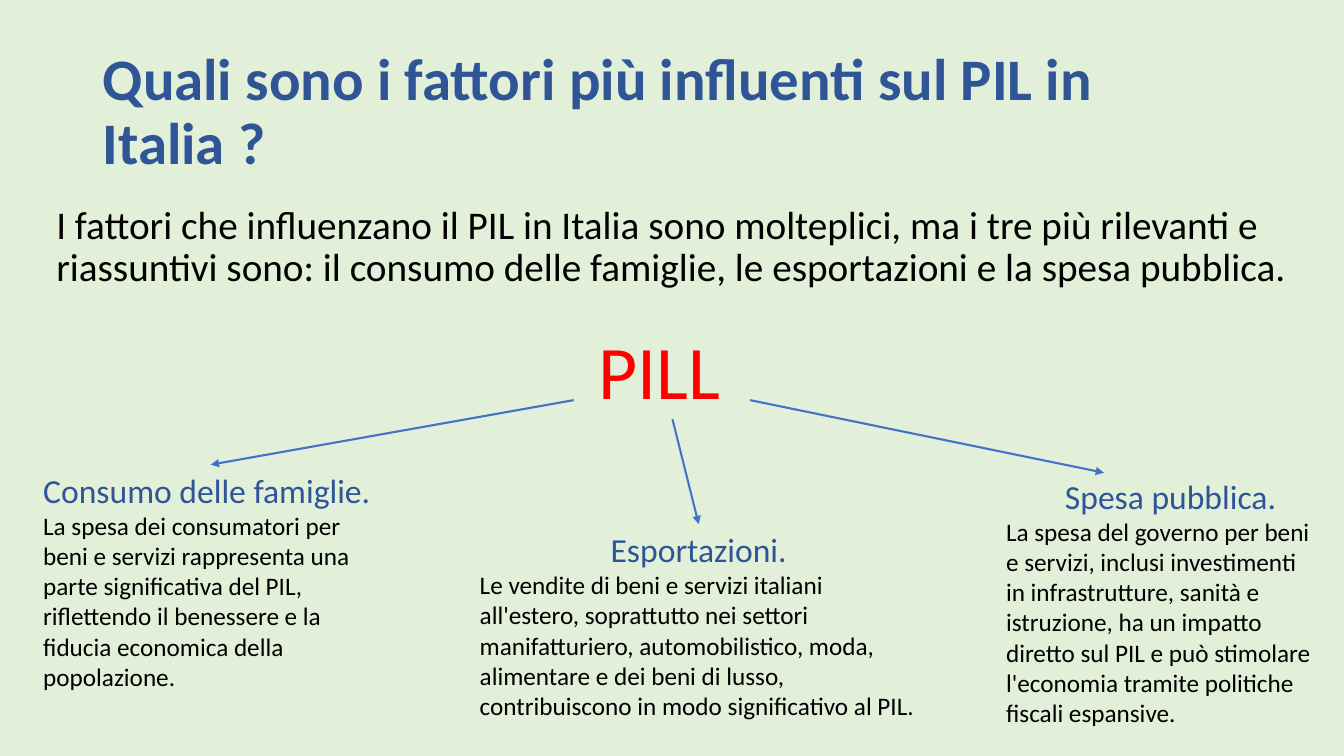
from lxml import etree
from pptx import Presentation
from pptx.dml.color import RGBColor
from pptx.enum.shapes import MSO_CONNECTOR
from pptx.enum.text import MSO_ANCHOR, PP_ALIGN
from pptx.oxml.ns import qn
from pptx.util import Inches, Pt

LEFT, CENTER = PP_ALIGN.LEFT, PP_ALIGN.CENTER
TOP, MIDDLE = MSO_ANCHOR.TOP, MSO_ANCHOR.MIDDLE
STRAIGHT = MSO_CONNECTOR.STRAIGHT

FONT = "Calibri"
COLORS = {"background": "E2F0D9", "heading": "2F5597", "text": "000000",
          "keyword": "FF0000", "arrow": "4472C4"}

TITLE = "Quali sono i fattori più influenti sul PIL in Italia ?"
INTRO = ("I fattori che influenzano il PIL in Italia sono molteplici, ma i tre più "
         "rilevanti e riassuntivi sono: il consumo delle famiglie, le esportazioni "
         "e la spesa pubblica.")
KEYWORD = "PILL"

# Each factor: box, heading, heading alignment, heading indent, explanation, arrow ends
FACTORS = [
    {"box": (0.33, 4.61, 3.52, 2.32), "heading": "Consumo delle famiglie.",
     "align": LEFT, "indent": 0,
     "text": "La spesa dei consumatori per beni e servizi rappresenta una parte "
             "significativa del PIL, riflettendo il benessere e la fiducia economica "
             "della popolazione.",
     "arrow": (5.69, 3.97, 2.09, 4.61)},
    {"box": (4.66, 5.2, 4.54, 2.32), "heading": "Esportazioni.",
     "align": CENTER, "indent": 0,
     "text": "Le vendite di beni e servizi italiani all'estero, soprattutto nei settori "
             "manifatturiero, automobilistico, moda, alimentare e dei beni di lusso, "
             "contribuiscono in modo significativo al PIL.",
     "arrow": (6.67, 4.16, 6.93, 5.2)},
    {"box": (9.88, 4.67, 3.31, 2.63), "heading": "Spesa pubblica.",
     "align": CENTER, "indent": 0.15,
     "text": "La spesa del governo per beni e servizi, inclusi investimenti in "
             "infrastrutture, sanità e istruzione, ha un impatto diretto sul PIL e può "
             "stimolare l'economia tramite politiche fiscali espansive.",
     "arrow": (7.44, 3.97, 10.95, 4.69)},
]


def add_text_frame(slide, box, anchor=TOP):
    frame = slide.shapes.add_textbox(*map(Inches, box)).text_frame
    frame.word_wrap = True
    frame.vertical_anchor = anchor
    return frame


def write(paragraph, text, size, color, bold=False, align=LEFT, line_spacing=1.0):
    paragraph.text = text
    paragraph.alignment = align
    paragraph.line_spacing = line_spacing
    paragraph.font.name = FONT
    paragraph.font.size = Pt(size)
    paragraph.font.bold = bold
    paragraph.font.color.rgb = RGBColor.from_string(COLORS[color])


def add_arrow(slide, ends):
    arrow = slide.shapes.add_connector(STRAIGHT, *map(Inches, ends))
    arrow.line.color.rgb = RGBColor.from_string(COLORS["arrow"])
    arrow.line.width = Pt(1.5)
    etree.SubElement(arrow.line._get_or_add_ln(), qn("a:tailEnd"), type="triangle")
    etree.SubElement(arrow._element.spPr, qn("a:effectLst"))


def main():
    presentation = Presentation()
    presentation.slide_width, presentation.slide_height = Inches(13.33), Inches(7.5)
    slide = presentation.slides.add_slide(presentation.slide_layouts[6])
    slide.background.fill.solid()
    slide.background.fill.fore_color.rgb = RGBColor.from_string(COLORS["background"])

    # Title, introduction and keyword
    title = add_text_frame(slide, (0.92, 0.4, 11.5, 1.45), MIDDLE)
    write(title.paragraphs[0], TITLE, 42, "heading", bold=True, line_spacing=0.9)
    intro = add_text_frame(slide, (0.46, 1.99, 12.42, 1.01)).paragraphs[0]
    write(intro, INTRO, 28, "text", line_spacing=0.9)
    intro.space_before = Pt(10)
    keyword = add_text_frame(slide, (5.84, 3.16, 1.6, 1.62))
    write(keyword.paragraphs[0], KEYWORD, 54, "keyword")

    # Factors with their arrows
    for factor in FACTORS:
        frame = add_text_frame(slide, factor["box"])
        heading = frame.paragraphs[0]
        write(heading, factor["heading"], 24, "heading", align=factor["align"])
        if factor["indent"]:
            heading._p.get_or_add_pPr().set("marL", str(Inches(factor["indent"])))
        write(frame.add_paragraph(), factor["text"], 18, "text")
        add_arrow(slide, factor["arrow"])

    presentation.save("out.pptx")


if __name__ == "__main__":
    main()
